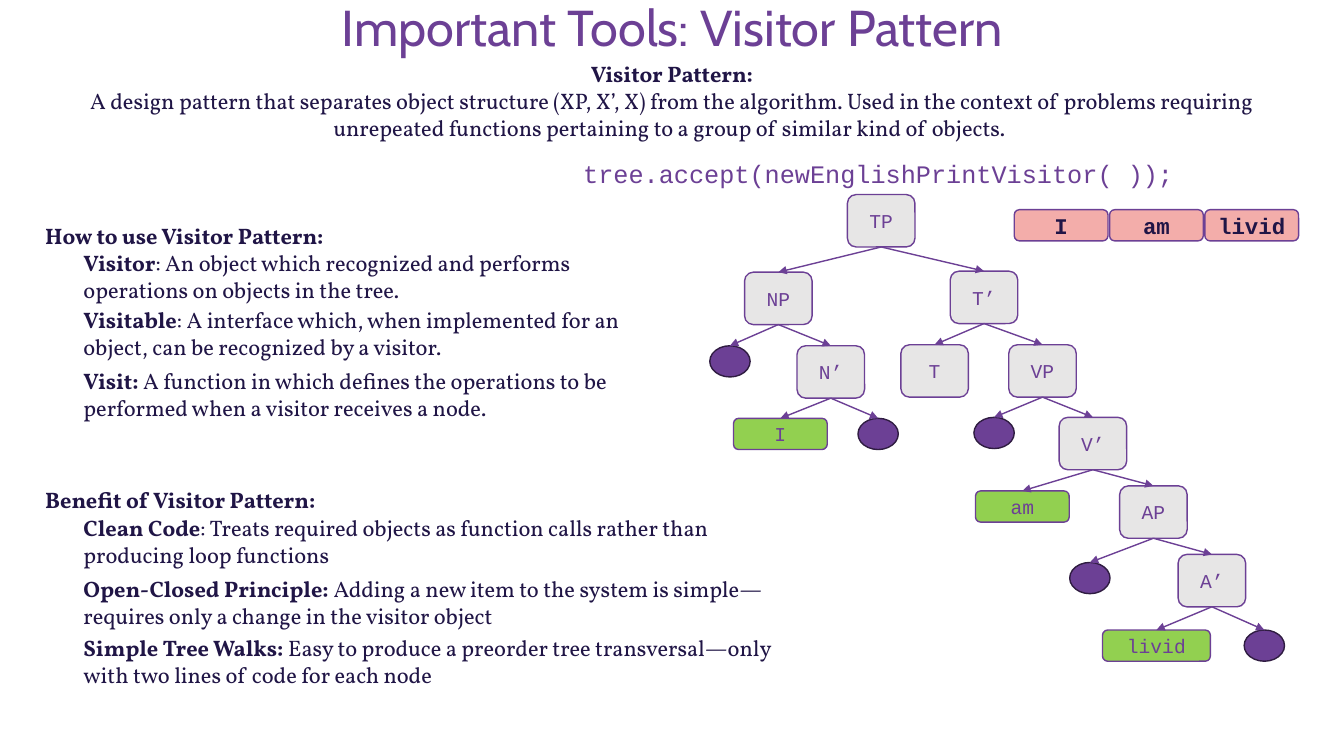
from lxml import etree
from pptx import Presentation
from pptx.dml.color import RGBColor
from pptx.enum.shapes import MSO_CONNECTOR, MSO_SHAPE
from pptx.enum.text import MSO_ANCHOR, PP_ALIGN
from pptx.oxml.ns import qn
from pptx.util import Inches, Pt

STRAIGHT = MSO_CONNECTOR.STRAIGHT
ROUNDED = MSO_SHAPE.ROUNDED_RECTANGLE
OVAL = MSO_SHAPE.OVAL
MIDDLE, TOP = MSO_ANCHOR.MIDDLE, MSO_ANCHOR.TOP
CENTER, LEFT = PP_ALIGN.CENTER, PP_ALIGN.LEFT
TOP_SITE, BOTTOM_SITE = 0, 2

COLORS = {
    "purple": "6C4095",
    "plum": "2F1C41",
    "ink": "201546",
    "gray": "E7E6E6",
    "green": "92D050",
    "pink": "F3ADAA",
}
FORMATS = {
    "title": {"name": "Cabin", "size": Pt(36), "bold": False, "color": "purple"},
    "body": {"name": "Vollkorn", "size": Pt(16), "bold": False, "color": "ink"},
    "strong": {"name": "Vollkorn", "size": Pt(16), "bold": True, "color": "ink"},
    "code": {"name": "Courier New", "size": Pt(18), "bold": False, "color": "purple"},
    "node": {"name": "Courier New", "size": Pt(14), "bold": False, "color": "purple"},
    "word": {"name": "Courier New", "size": Pt(16), "bold": True, "color": "ink"},
}


def write(shape, paragraphs, alignment, anchor):
    frame = shape.text_frame
    frame.word_wrap = True
    frame.vertical_anchor = anchor
    for index, runs in enumerate(paragraphs):
        paragraph = frame.add_paragraph() if index else frame.paragraphs[0]
        paragraph.alignment = alignment
        for text, style in runs:
            run = paragraph.add_run()
            run.text = text
            for attribute, value in FORMATS[style].items():
                if attribute == "color":
                    run.font.color.rgb = RGBColor.from_string(COLORS[value])
                else:
                    setattr(run.font, attribute, value)


def add_box(kind, left, top, width, height, fill, line):
    shape = slide.shapes.add_shape(
        kind, Inches(left), Inches(top), Inches(width), Inches(height))
    shape.shadow.inherit = False
    shape.fill.solid()
    shape.fill.fore_color.rgb = RGBColor.from_string(COLORS[fill])
    shape.line.color.rgb = RGBColor.from_string(COLORS[line])
    shape.line.width = Pt(1)
    return shape


presentation = Presentation()
presentation.slide_width = Inches(13.33)
presentation.slide_height = Inches(7.5)
slide = presentation.slides.add_slide(presentation.slide_layouts[6])

TEXTS = [
    (0.92, 0.04, 11.5, 0.51, CENTER, MIDDLE,
     [[("Important Tools: Visitor Pattern", "title")]]),
    (0.74, 0.55, 11.85, 0.91, CENTER, TOP, [
        [("Visitor Pattern:", "strong")],
        [("A design pattern that separates object structure (XP, X’, X) from the "
          "algorithm. Used in the context of problems requiring unrepeated functions "
          "pertaining to a group of similar kind of objects. ", "body")]]),
    (4.87, 1.52, 7.68, 0.4, CENTER, TOP,
     [[("tree.accept(newEnglishPrintVisitor( ));", "code")]]),
]
SECTIONS = [
    ("How to use Visitor Pattern:", 2.15, 5.57, [
        (2.42, "Visitor", ": An object which recognized and performs operations on "
         "objects in the tree."),
        (2.99, "Visitable", ": A interface which, when implemented for an object, can "
         "be recognized by a visitor."),
        (3.59, "Visit: ", "A function in which defines the operations to be performed "
         "when a visitor receives a node.")]),
    ("Benefit of Visitor Pattern:", 4.77, 7.16, [
        (5.05, "Clean Code", ": Treats required objects as function calls rather than "
         "producing loop functions"),
        (5.66, "Open-Closed Principle: ", "Adding a new item to the system is "
         "simple—requires only a change in the visitor object"),
        (6.24, "Simple Tree Walks: ", "Easy to produce a preorder tree "
         "transversal—only with two lines of code for each node")]),
]
for heading, heading_top, item_width, items in SECTIONS:
    TEXTS.append((0.35, heading_top, 5.94, 0.37, LEFT, TOP, [[(heading, "strong")]]))
    for top, term, meaning in items:
        TEXTS.append((0.73, top, item_width, 0.64, LEFT, TOP,
                      [[(term, "strong"), (meaning, "body")]]))

for left, top, width, height, alignment, anchor, paragraphs in TEXTS:
    text_box = slide.shapes.add_textbox(
        Inches(left), Inches(top), Inches(width), Inches(height))
    write(text_box, paragraphs, alignment, anchor)
    if top == 0.04:
        text_box.text_frame.paragraphs[0].line_spacing = 0.9

NODE_KINDS = {
    "phrase": (ROUNDED, 0.67, 0.52, "gray", "purple"),
    "leaf": (ROUNDED, 0.93, 0.31, "green", "purple"),
    "long leaf": (ROUNDED, 1.07, 0.31, "green", "purple"),
    "empty": (OVAL, 0.4, 0.31, "purple", "plum"),
}
TREE = [
    ("TP", None, "phrase", 8.74, 1.93),
    ("NP", "TP", "phrase", 7.72, 2.7),
    ("T’", "TP", "phrase", 9.76, 2.69),
    ("", "NP", "empty", 7.24, 3.43),
    ("N’", "NP", "phrase", 8.24, 3.43),
    ("T", "T’", "phrase", 9.27, 3.42),
    ("VP", "T’", "phrase", 10.34, 3.42),
    ("I", "N’", "leaf", 7.74, 4.15),
    ("", "N’", "empty", 8.71, 4.15),
    ("", "VP", "empty", 9.86, 4.14),
    ("V’", "VP", "phrase", 10.84, 4.14),
    ("am", "V’", "leaf", 10.14, 4.87),
    ("AP", "V’", "phrase", 11.44, 4.82),
    ("", "AP", "empty", 10.81, 5.58),
    ("A’", "AP", "phrase", 12.02, 5.5),
    ("livid", "A’", "long leaf", 11.47, 6.25),
    ("", "A’", "empty", 12.54, 6.25),
]
nodes = {}
for label, parent, kind, center, top in TREE:
    outline, width, height, fill, line = NODE_KINDS[kind]
    node = add_box(outline, center - width / 2, top, width, height, fill, line)
    if label:
        write(node, [[(label, "node")]], CENTER, MIDDLE)
        nodes[label] = node
    if parent:
        branch = slide.shapes.add_connector(STRAIGHT, 0, 0, 0, 0)
        branch.begin_connect(nodes[parent], BOTTOM_SITE)
        branch.end_connect(node, TOP_SITE)
        branch.line.color.rgb = RGBColor.from_string(COLORS["purple"])
        branch.line.width = Pt(1)
        arrowhead = etree.SubElement(branch.line._get_or_add_ln(), qn("a:tailEnd"))
        arrowhead.set("type", "triangle")
        etree.SubElement(branch._element.spPr, qn("a:effectLst"))

for index, word in enumerate(["I", "am", "livid"]):
    chip = add_box(ROUNDED, 10.06 + 0.945 * index, 2.08, 0.93, 0.31, "pink", "purple")
    write(chip, [[(word, "word")]], CENTER, MIDDLE)

presentation.save("out.pptx")
